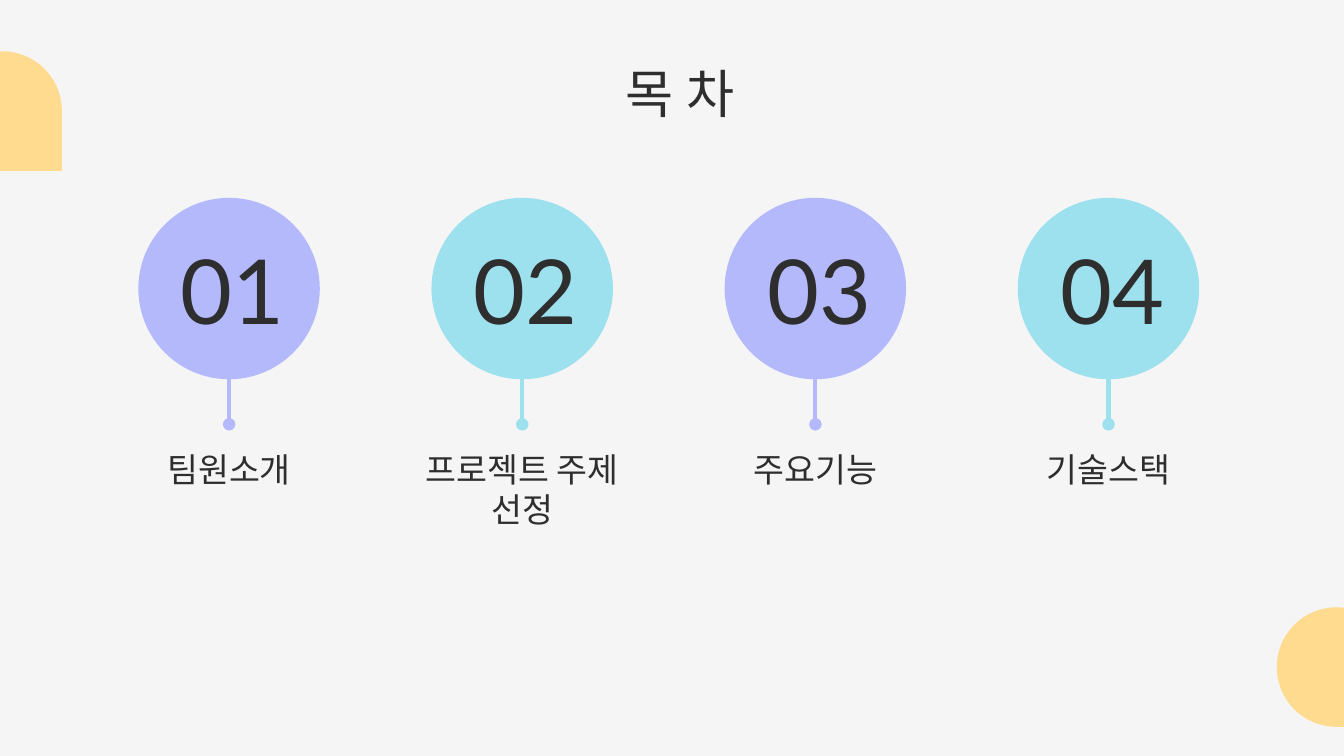
from lxml import etree
from pptx import Presentation
from pptx.dml.color import RGBColor
from pptx.enum.shapes import MSO_CONNECTOR, MSO_SHAPE
from pptx.enum.text import MSO_ANCHOR, PP_ALIGN
from pptx.oxml.ns import qn
from pptx.util import Cm, Pt

OVAL, TEAR = MSO_SHAPE.OVAL, MSO_SHAPE.TEAR
STRAIGHT = MSO_CONNECTOR.STRAIGHT
TOP, MIDDLE = MSO_ANCHOR.TOP, MSO_ANCHOR.MIDDLE
CENTER = PP_ALIGN.CENTER

TITLE = "목 차"
ITEMS = [
    ("01", "팀원소개", "violet"),
    ("02", "프로젝트 주제 선정", "cyan"),
    ("03", "주요기능", "violet"),
    ("04", "기술스택", "cyan"),
]
CORNERS = [(24.13, 11.48), (-1.09, 0.97)]
COLORS = {
    "back": "F5F5F5",
    "ink": "2E2E2E",
    "violet": "B3B9FB",
    "cyan": "9DE0EE",
    "yellow": "FFDB8F",
}
FORMATS = {
    "title": {"name": "Lato", "size": Pt(28)},
    "number": {"name": "Lato", "size": Pt(48)},
    "label": {"name": "Noto Sans CJK KR", "size": Pt(18)},
}
FIRST_CENTER, STEP = 4.33, 5.54
CIRCLE, CIRCLE_TOP = 3.43, 3.74
STEM_TOP, STEM_BOTTOM = 6.25, 8.02
CORNER = 2.26


def rgb(key):
    return RGBColor.from_string(COLORS[key])


def add_filled(s, kind, left, top, size, color):
    sp = s.shapes.add_shape(kind, Cm(left), Cm(top), Cm(size), Cm(size))
    sp.shadow.inherit = False
    sp.fill.solid()
    sp.fill.fore_color.rgb = rgb(color)
    sp.line.fill.background()
    return sp


def add_stem(s, x, color):
    sp = s.shapes.add_connector(STRAIGHT, Cm(x), Cm(STEM_TOP), Cm(x), Cm(STEM_BOTTOM))
    sp.line.width = Pt(2.25)
    sp.line.color.rgb = rgb(color)
    etree.SubElement(sp.line._get_or_add_ln(), qn("a:tailEnd"), type="oval")
    etree.SubElement(sp._element.spPr, qn("a:effectLst"))


def write(sp, text, style, anchor=TOP, spacing=None):
    tf = sp.text_frame
    frame = {"word_wrap": True, "vertical_anchor": anchor}
    frame.update({f"margin_{side}": Cm(0.25) for side in ("left", "right", "top", "bottom")})
    for key, value in frame.items():
        setattr(tf, key, value)
    p = tf.paragraphs[0]
    p.alignment = CENTER
    p.line_spacing = spacing
    r = p.add_run()
    r.text = text
    for key, value in FORMATS[style].items():
        setattr(r.font, key, value)
    r.font.color.rgb = rgb("ink")
    etree.SubElement(r.font._element, qn("a:ea"), typeface=FORMATS[style]["name"])


def add_text(s, center, top, width, text, style, **options):
    sp = s.shapes.add_textbox(Cm(center - width / 2), Cm(top), Cm(width), Cm(1.6))
    write(sp, text, style, **options)


prs = Presentation()
prs.slide_width, prs.slide_height = Cm(25.4), Cm(14.29)
s = prs.slides.add_slide(prs.slide_layouts[5])
s.background.fill.solid()
s.background.fill.fore_color.rgb = rgb("back")

for left, top in CORNERS:
    add_filled(s, TEAR, left, top, CORNER, "yellow").rotation = 90

title = s.shapes.title
title.left, title.top, title.width, title.height = Cm(4.2), Cm(0.91), Cm(17.3), Cm(1.75)
write(title, TITLE, "title")

for i, (number, label, color) in enumerate(ITEMS):
    center = FIRST_CENTER + i * STEP
    add_stem(s, center, color)
    add_filled(s, OVAL, center - CIRCLE / 2, CIRCLE_TOP, CIRCLE, color)
    add_text(s, center + 0.07, 4.65, 4.88, number, "number", anchor=MIDDLE)
    add_text(s, center, 8.23, 4.52, label, "label", spacing=Pt(21.6))

prs.save("out.pptx")
